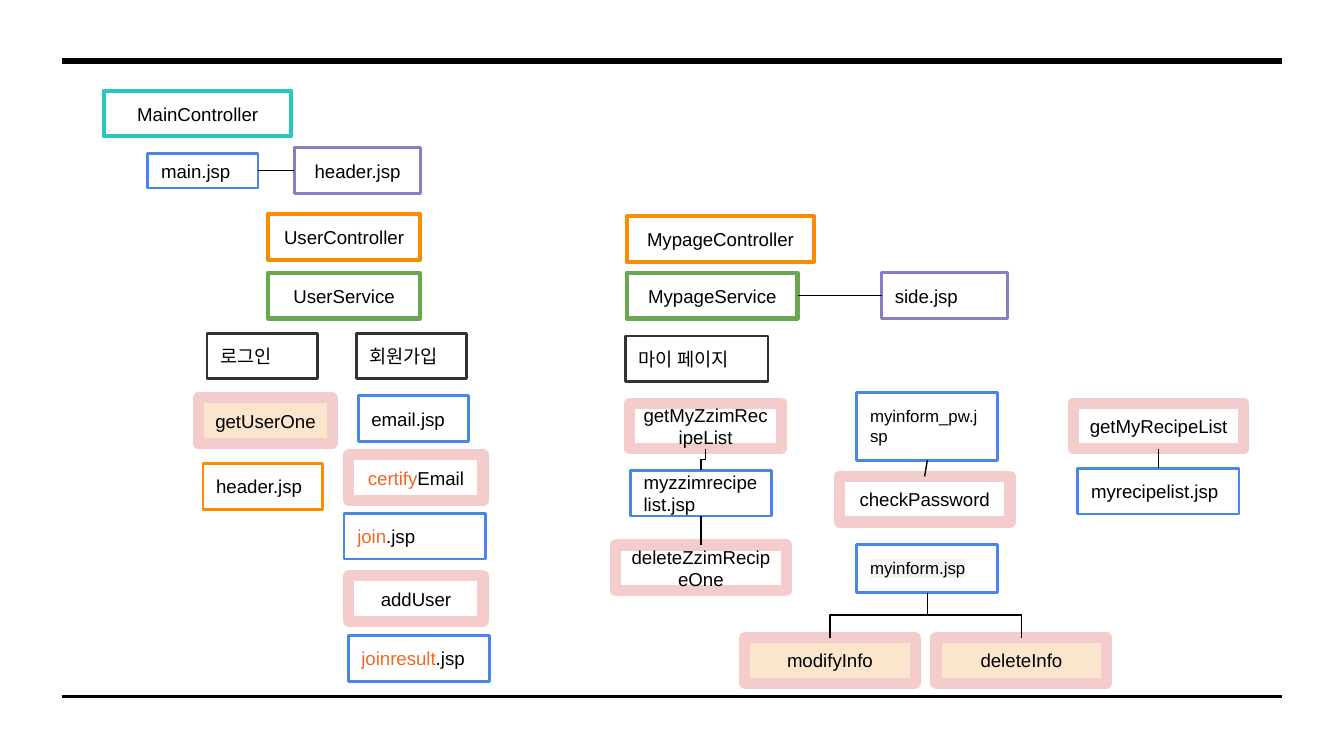
from dataclasses import dataclass

from lxml import etree
from pptx import Presentation
from pptx.dml.color import RGBColor
from pptx.enum.shapes import MSO_CONNECTOR, MSO_SHAPE
from pptx.enum.text import MSO_ANCHOR, PP_ALIGN
from pptx.oxml.ns import qn
from pptx.util import Inches, Pt

RECTANGLE = MSO_SHAPE.RECTANGLE
STRAIGHT, ELBOW = MSO_CONNECTOR.STRAIGHT, MSO_CONNECTOR.ELBOW
TOP, MIDDLE = MSO_ANCHOR.TOP, MSO_ANCHOR.MIDDLE
LEFT, CENTER = PP_ALIGN.LEFT, PP_ALIGN.CENTER

FONT = "Arial"
COLUMNS, ROWS = 100, 56.25  # grid of square cells
CELL = Inches(0.1)
COLORS = {
    "text": "000000", "accent": "F46524", "highlight": "F3F3F3",
    "white": "FFFFFF", "peach": "FCE5CD", "teal": "27C7BD",
    "orange": "FB8C00", "green": "6AA84F", "blue": "4A86E8",
    "purple": "8E7CC3", "dark": "333333", "pink": "F4CCCC",
}


@dataclass(frozen=True)
class Style:
    line: str
    weight: float
    align: PP_ALIGN = LEFT
    size: float = 10
    anchor: MSO_ANCHOR = MIDDLE


MAIN = Style("teal", 2.25, CENTER)
CONTROLLER = Style("orange", 2.25, CENTER)
SERVICE = Style("green", 2.25, CENTER)
METHOD = Style("pink", 6, CENTER)
PAGE = Style("blue", 1.5)
FORM_PAGE = Style("blue", 1.5, size=9, anchor=TOP)
SECTION = Style("dark", 1.5)
LOGIN_HEADER = Style("orange", 1.5)
SIDE = Style("purple", 1.5)
HEADER = Style("purple", 1.5, CENTER)


@dataclass(frozen=True)
class Box:
    """A labelled box, placed in grid columns and rows."""
    label: str
    style: Style
    col: float
    row: float
    cols: float
    rows: float = 3.4
    fill: str = ""
    accent: str = ""
    highlight: bool = False

    @property
    def center(self) -> float:
        return self.col + self.cols / 2

    @property
    def middle(self) -> float:
        return self.row + self.rows / 2

    @property
    def right(self) -> float:
        return self.col + self.cols

    @property
    def bottom(self) -> float:
        return self.row + self.rows


def cells(value: float) -> int:
    return round(value * CELL)


def color(name: str) -> RGBColor:
    return RGBColor.from_string(COLORS[name])


def draw_box(slide, box: Box) -> None:
    shape = slide.shapes.add_shape(
        RECTANGLE, *map(cells, (box.col, box.row, box.cols, box.rows)))
    shape.shadow.inherit = False
    if box.fill:
        shape.fill.solid()
        shape.fill.fore_color.rgb = color(box.fill)
    else:
        shape.fill.background()
    shape.line.color.rgb = color(box.style.line)
    shape.line.width = Pt(box.style.weight)

    frame = shape.text_frame
    frame.word_wrap = True
    frame.vertical_anchor = box.style.anchor
    frame.margin_left = frame.margin_right = CELL
    frame.margin_top = frame.margin_bottom = CELL
    paragraph = frame.paragraphs[0]
    paragraph.alignment = box.style.align
    rest = box.label[len(box.accent):]
    for text, tone in ((box.accent, "accent"), (rest, "text")):
        if not text:
            continue
        run = paragraph.add_run()
        run.text = text
        run.font.size = Pt(box.style.size)
        run.font.color.rgb = color(tone)
        if box.highlight:
            mark = etree.SubElement(run.font._element, qn("a:highlight"))
            etree.SubElement(mark, qn("a:srgbClr"), val=COLORS["highlight"])
        run.font.name = FONT


def draw_line(slide, x1: float, y1: float, x2: float, y2: float,
              weight: float = 0.75, kind: MSO_CONNECTOR = STRAIGHT):
    line = slide.shapes.add_connector(kind, *map(cells, (x1, y1, x2, y2)))
    line.line.color.rgb = color("text")
    line.line.width = Pt(weight)
    etree.SubElement(line._element.spPr, qn("a:effectLst"))
    return line


def link_across(slide, source: Box, target: Box) -> None:
    draw_line(slide, source.right, source.middle, target.col, source.middle)


def link_down(slide, source: Box, target: Box) -> None:
    draw_line(slide, source.center, source.bottom, target.center, target.row)


def link_bent(slide, source: Box, target: Box) -> None:
    """Elbow running down, across and down: a sideways elbow, turned."""
    x1, y1, x2, y2 = source.center, source.bottom, target.center, target.row
    x, y = (x1 + x2) / 2, (y1 + y2) / 2
    side = 1 if x2 < x1 else -1
    half_run, half_rise = side * (y2 - y1) / 2, abs(x2 - x1) / 2
    elbow = draw_line(slide, x - half_run, y - half_rise,
                      x + half_run, y + half_rise, kind=ELBOW)
    turn = 90 if side > 0 else 270
    elbow._element.spPr.find(qn("a:xfrm")).set("rot", str(turn * 60000))


# Boxes joined by lines
main_page = Box("main.jsp", PAGE, 11, 11.4, 8.2, 2.6, "white")
main_header = Box("header.jsp", HEADER, 21.9, 11, 9.4)
mypage_service = Box("MypageService", SERVICE, 46.65, 20.3, 12.7)
side_page = Box("side.jsp", SIDE, 65.6, 20.3, 9.4)
get_zzim = Box("getMyZzimRecipeList", METHOD, 46.85, 30, 11.3)
zzim_page = Box("myzzimrecipelist.jsp", PAGE, 46.9, 35, 10.5)
delete_zzim = Box("deleteZzimRecipeOne", METHOD, 45.8, 40.55, 12.7)
password_page = Box("myinform_pw.jsp", FORM_PAGE, 63.75, 29.2, 10.5, 5.05)
check_password = Box("checkPassword", METHOD, 62.45, 35.45, 12.7)
inform_page = Box("myinform.jsp", FORM_PAGE, 63.75, 40.5, 10.5, 3.6,
                  highlight=True)
modify_info = Box("modifyInfo", METHOD, 55.4, 47.45, 12.7, fill="peach")
delete_info = Box("deleteInfo", METHOD, 69.65, 47.45, 12.7, fill="peach")
get_recipes = Box("getMyRecipeList", METHOD, 79.85, 30, 12.7)
recipes_page = Box("myrecipelist.jsp", PAGE, 80.2, 34.85, 12)

BOXES = [
    # Main and user side
    Box("MainController", MAIN, 7.75, 6.75, 13.9), main_page, main_header,
    Box("UserController", CONTROLLER, 19.95, 15.95, 11.3),
    Box("UserService", SERVICE, 19.95, 20.3, 11.3),
    Box("로그인", SECTION, 15.4, 24.8, 8.2, fill="white"),
    Box("getUserOne", METHOD, 14.75, 29.6, 10, fill="peach"),
    Box("header.jsp", LOGIN_HEADER, 15.1, 34.5, 8.9, fill="white"),
    Box("회원가입", SECTION, 26.5, 24.8, 8.2, fill="white"),
    Box("email.jsp", PAGE, 26.65, 29.45, 8.2),
    Box("certifyEmail", METHOD, 25.95, 33.85, 10, accent="certify"),
    Box("join.jsp", PAGE, 25.6, 38.2, 10.5, accent="join"),
    Box("addUser", METHOD, 25.95, 42.85, 10),
    Box("joinresult.jsp", PAGE, 25.9, 47.3, 10.5, accent="joinresult"),
    # My page side
    Box("MypageController", CONTROLLER, 46.65, 16.1, 13.9),
    mypage_service, side_page,
    Box("마이 페이지 ", SECTION, 46.55, 25, 10.6, fill="white"),
    get_zzim, zzim_page, delete_zzim, password_page, check_password,
    inform_page, modify_info, delete_info, get_recipes, recipes_page,
]
LINKS = [
    (link_across, main_page, main_header),
    (link_across, mypage_service, side_page),
    (link_bent, get_zzim, zzim_page),
    (link_down, zzim_page, delete_zzim),
    (link_down, password_page, check_password),
    (link_bent, inform_page, modify_info),
    (link_bent, inform_page, delete_info),
    (link_down, get_recipes, recipes_page),
]

deck = Presentation()
deck.slide_width, deck.slide_height = cells(COLUMNS), cells(ROWS)
structure = deck.slides.add_slide(deck.slide_layouts[6])

# Top and bottom rules
for rule_row, rule_weight in ((4.55, 3), (51.8, 1.5)):
    draw_line(structure, 4.65, rule_row, 95.4, rule_row, rule_weight)

for item in BOXES:
    draw_box(structure, item)
for draw_link, upstream, downstream in LINKS:
    draw_link(structure, upstream, downstream)

deck.save("out.pptx")
